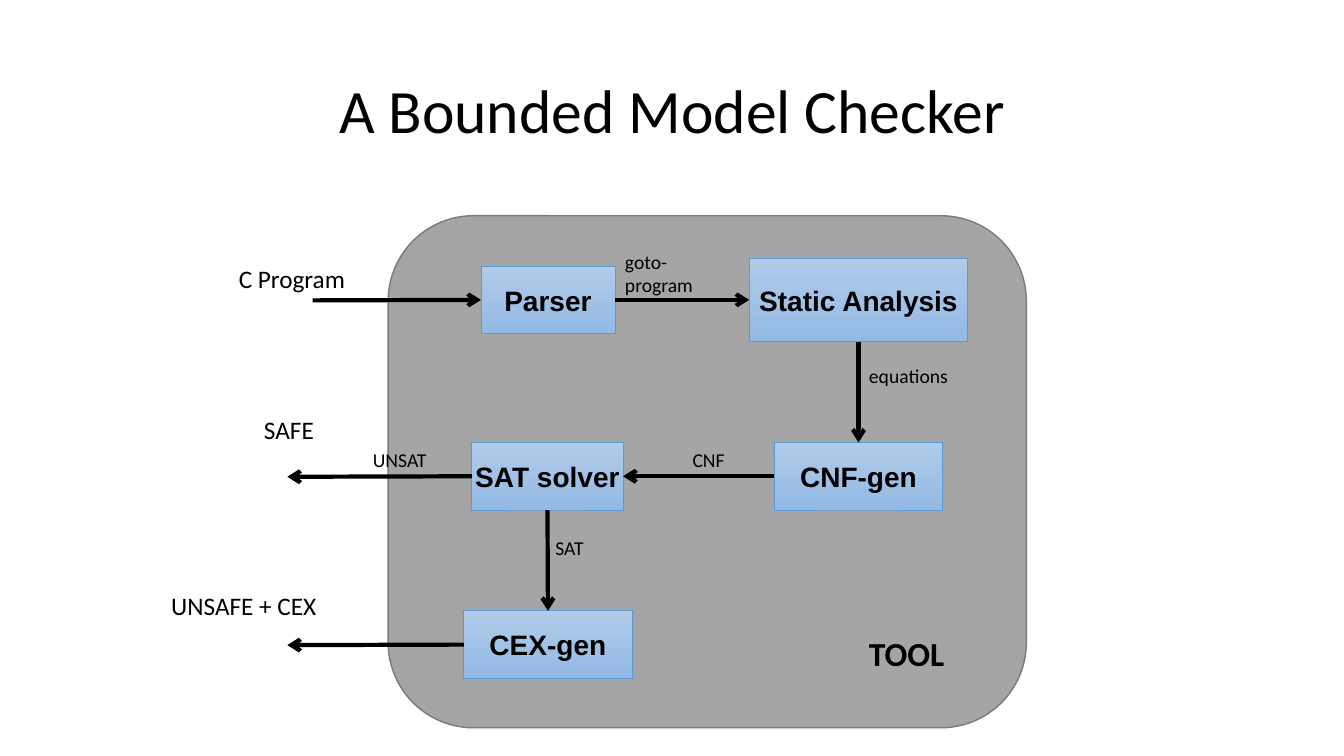
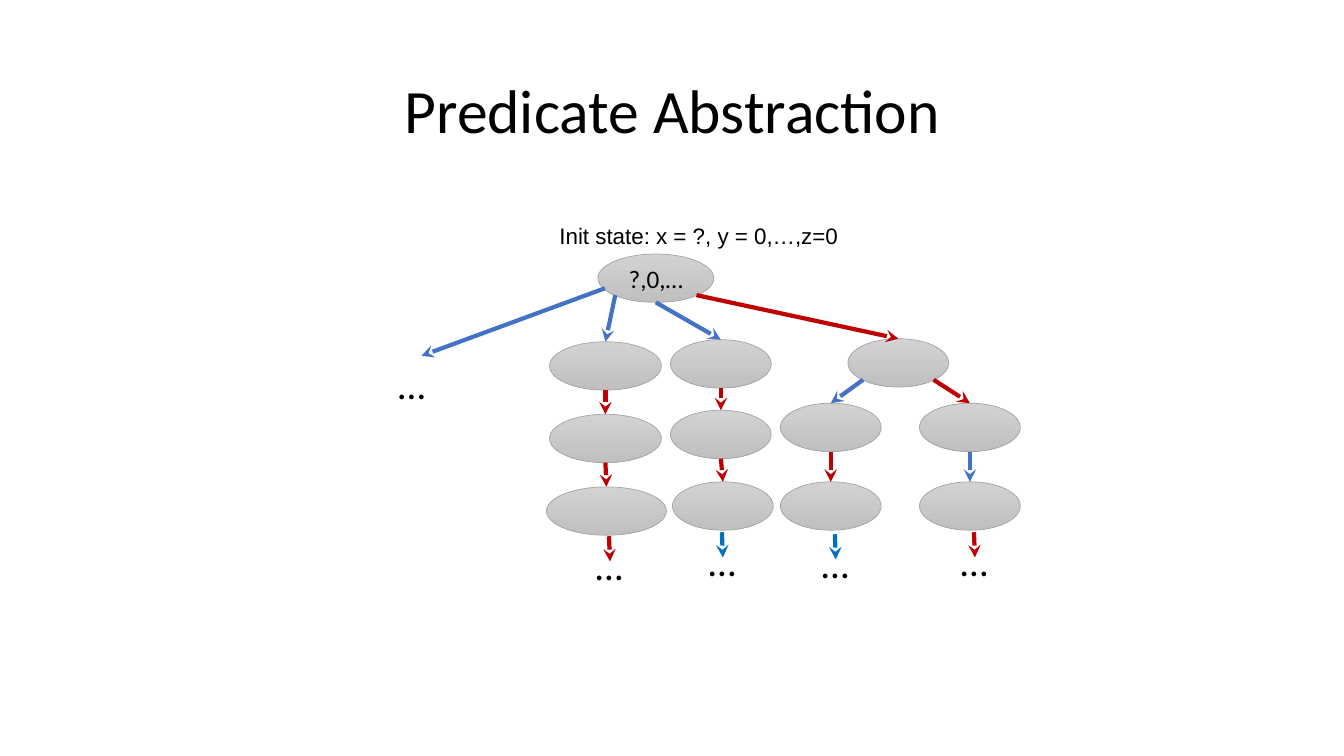
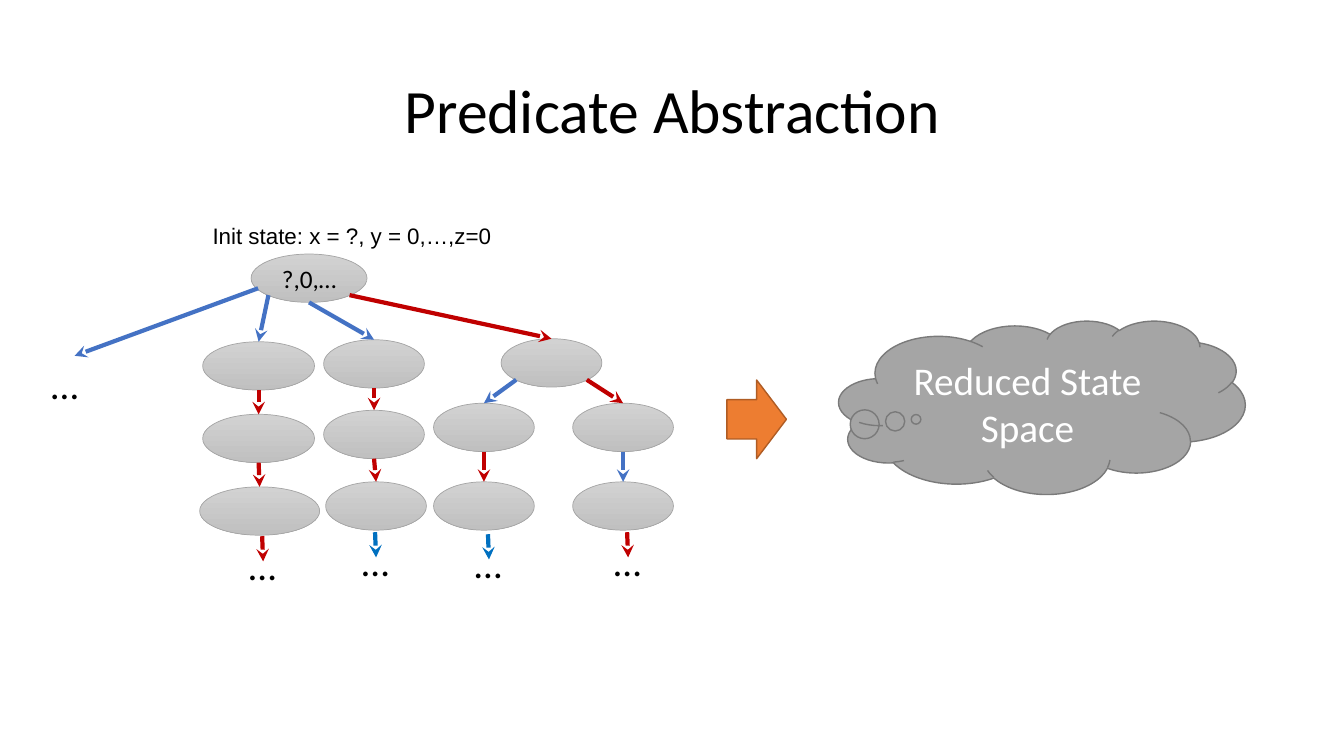
from dataclasses import dataclass

from lxml.etree import SubElement
from pptx import Presentation
from pptx.dml.color import RGBColor
from pptx.enum.shapes import MSO_CONNECTOR, MSO_SHAPE
from pptx.enum.text import MSO_ANCHOR, MSO_AUTO_SIZE, PP_ALIGN
from pptx.oxml.ns import qn
from pptx.util import Inches, Pt


@dataclass(frozen=True)
class Theme:
    """Colours, fonts and type sizes of the presentation."""

    black: str = "000000"
    white: str = "FFFFFF"
    gray: str = "A5A5A5"
    gray_edge: str = "7A7A7A"
    orange: str = "ED7D31"
    orange_edge: str = "AF5C24"
    box_edge: str = "5B9BD5"
    box_fill: tuple = ("B1CBE9", "93B9E4")
    state_fill: tuple = ("D2D2D2", "C0C0C0")
    blue: str = "4472C4"
    bright_blue: str = "0070C0"
    red: str = "C00000"
    body_font: str = "Calibri"
    diagram_font: str = "Arial"
    title_size: int = 44
    large_size: int = 28
    name_size: int = 24
    box_size: int = 20
    label_size: int = 18
    caption_size: int = 16
    small_size: int = 14
    thin: float = 0.5
    outline: float = 1
    arrow: float = 3


THEME = Theme()
TOP, LEFT, BOTTOM, RIGHT = range(4)
SITES = {"top": (0.5, 0), "bottom": (0.5, 1), "lower left": (0.15, 0.85), "lower right": (0.85, 0.85)}
STATE_HEIGHT = 0.48
STATES = {
    "root": (5.93, 2.52, 1.15),
    "a1": (5.45, 3.39, 1.11),
    "a2": (5.45, 4.11, 1.11),
    "a3": (5.42, 4.83, 1.19),
    "b1": (6.65, 3.37, 1),
    "b2": (6.65, 4.07, 1),
    "b3": (6.67, 4.78, 1),
    "fork": (8.41, 3.36, 1),
    "c1": (7.74, 4, 1),
    "c2": (7.74, 4.78, 1),
    "d1": (9.12, 4, 1),
    "d2": (9.12, 4.78, 1),
}
TRANSITIONS = (
    ("root", "lower left", "a1", THEME.blue),
    ("root", "bottom", "b1", THEME.blue),
    ("root", "lower right", "fork", THEME.red),
    ("fork", "lower left", "c1", THEME.blue),
    ("fork", "lower right", "d1", THEME.red),
    ("a1", "bottom", "a2", THEME.red),
    ("a2", "bottom", "a3", THEME.red),
    ("b1", "bottom", "b2", THEME.red),
    ("b2", "bottom", "b3", THEME.red),
    ("c1", "bottom", "c2", THEME.red),
    ("d1", "bottom", "d2", THEME.blue),
)
CONTINUATIONS = (
    (6.04, 5.32, THEME.red),
    (7.16, 5.28, THEME.bright_blue),
    (8.28, 5.3, THEME.bright_blue),
    (9.66, 5.28, THEME.red),
)


def add_run(paragraph, text, size, color=THEME.black, font=THEME.body_font, bold=False):
    """Add one formatted run to a paragraph."""
    run = paragraph.add_run()
    run.text = text
    run.font.name = font
    run.font.size = Pt(size)
    run.font.bold = bold
    run.font.color.rgb = RGBColor.from_string(color)


def add_titled_slide(presentation, title):
    """Add a slide with the shared title style."""
    slide = presentation.slides.add_slide(presentation.slide_layouts[5])
    shape = slide.shapes.title
    shape.left, shape.top, shape.width, shape.height = map(Inches, (0.92, 0.4, 11.5, 1.45))
    shape.text_frame.vertical_anchor = MSO_ANCHOR.MIDDLE
    paragraph = shape.text_frame.paragraphs[0]
    paragraph.alignment = PP_ALIGN.CENTER
    paragraph.line_spacing = 0.9
    add_run(paragraph, title, THEME.title_size)
    return slide


def add_shape(shapes, kind, bounds, fill, edge, edge_width):
    """Add a preset shape; a pair of colours gives a vertical gradient."""
    shape = shapes.add_shape(kind, *map(Inches, bounds))
    shape.shadow.inherit = False
    if isinstance(fill, tuple):
        shape.fill.gradient()
        shape.fill.gradient_angle = 270
        for stop, color in zip(shape.fill.gradient_stops, fill):
            stop.color.rgb = RGBColor.from_string(color)
    else:
        shape.fill.solid()
        shape.fill.fore_color.rgb = RGBColor.from_string(fill)
    shape.line.color.rgb = RGBColor.from_string(edge)
    shape.line.width = Pt(edge_width)
    return shape


def write_centred(shape, text, size, **style):
    """Write centred text inside a shape."""
    shape.text_frame.vertical_anchor = MSO_ANCHOR.MIDDLE
    paragraph = shape.text_frame.paragraphs[0]
    paragraph.alignment = PP_ALIGN.CENTER
    add_run(paragraph, text, size, **style)


def add_box(shapes, text, bounds):
    """Add a processing step."""
    box = add_shape(shapes, MSO_SHAPE.RECTANGLE, bounds, THEME.box_fill, THEME.box_edge, THEME.thin)
    frame = box.text_frame
    frame.margin_left = frame.margin_right = frame.margin_top = frame.margin_bottom = 0
    frame.word_wrap = False
    write_centred(box, text, THEME.box_size, font=THEME.diagram_font, bold=True)
    return box


def add_label(shapes, text, bounds, size, wrap=False, **style):
    """Add a text box that grows with its text."""
    frame = shapes.add_textbox(*map(Inches, bounds)).text_frame
    frame.word_wrap = wrap
    frame.auto_size = MSO_AUTO_SIZE.SHAPE_TO_FIT_TEXT
    add_run(frame.paragraphs[0], text, size, **style)


def add_arrow(shapes, start, end, color=THEME.black, head="arrow"):
    """Add a straight arrow between two points."""
    arrow = shapes.add_connector(MSO_CONNECTOR.STRAIGHT, *map(Inches, (*start, *end)))
    arrow.line.color.rgb = RGBColor.from_string(color)
    arrow.line.width = Pt(THEME.arrow)
    properties = arrow.element.spPr
    SubElement(properties.find(qn("a:ln")), qn("a:tailEnd"), type=head)
    SubElement(properties, qn("a:effectLst"))
    return arrow


def find_site(state, site):
    """Return a point on the outline of a state."""
    left, top, width = STATES[state]
    across, down = SITES[site]
    return left + across * width, top + down * STATE_HEIGHT


def add_state_tree(slide, shift=0):
    """Add the grouped state tree, moved to the left by shift inches."""
    group = slide.shapes.add_group_shape()
    shapes = group.shapes
    for name, (left, top, width) in STATES.items():
        bounds = (left, top, width, STATE_HEIGHT)
        state = add_shape(shapes, MSO_SHAPE.OVAL, bounds, THEME.state_fill, THEME.gray, THEME.thin)
        if name == "root":
            write_centred(state, "?,0,…", THEME.label_size)
    add_label(shapes, "Init state: x = ?, y = 0,…,z=0", (5.45, 2.15, 3.01, 0.37),
              THEME.caption_size, font=THEME.diagram_font)
    for source, site, target, color in TRANSITIONS:
        add_arrow(shapes, find_site(source, site), find_site(target, "top"), color, "stealth")
    add_arrow(shapes, (6, 2.86), (4.18, 3.53), THEME.blue, "stealth")
    for x, y, color in CONTINUATIONS:
        add_arrow(shapes, (x, y), (x + 0.01, y + 0.25), color, "stealth")
    for x, y in ((4.08, 3.53), *(item[:2] for item in CONTINUATIONS)):
        add_label(shapes, "…", (x - 0.23, y, 0.47, 0.57), THEME.large_size)
    group.left -= Inches(shift)


def add_checker_slide(presentation):
    """Add the pipeline of the bounded model checker."""
    shapes = add_titled_slide(presentation, "A Bounded Model Checker").shapes
    add_shape(shapes, MSO_SHAPE.ROUNDED_RECTANGLE, (3.85, 2.14, 6.33, 5.08),
              THEME.gray, THEME.gray_edge, THEME.outline)
    parser = add_box(shapes, "Parser", (4.77, 2.64, 1.33, 0.67))
    analysis = add_box(shapes, "Static Analysis", (7.43, 2.56, 2.17, 0.83))
    formula = add_box(shapes, "CNF-gen", (7.68, 4.39, 1.67, 0.67))
    solver = add_box(shapes, "SAT solver", (4.68, 4.39, 1.5, 0.67))
    counterexample = add_box(shapes, "CEX-gen", (4.6, 6.06, 1.67, 0.67))
    for source, source_site, target, target_site in (
        (parser, RIGHT, analysis, LEFT),
        (analysis, BOTTOM, formula, TOP),
        (formula, LEFT, solver, RIGHT),
        (solver, BOTTOM, counterexample, TOP),
    ):
        arrow = add_arrow(shapes, (0, 0), (1, 1))
        arrow.begin_connect(source, source_site)
        arrow.end_connect(target, target_site)
    add_arrow(shapes, (3.1, 2.98), (4.77, 2.98)).end_connect(parser, LEFT)
    for source, y in ((solver, 4.73), (counterexample, 6.4)):
        add_arrow(shapes, (4.6, y), (2.85, y)).begin_connect(source, LEFT)
    add_label(shapes, "TOOL", (8.52, 6.23, 1.21, 0.5), THEME.name_size, bold=True)
    for text, left, top, width in (
        ("C Program", 2.27, 2.56, 1.42),
        ("SAFE", 2.52, 4.06, 0.86),
        ("UNSAFE + CEX", 1.6, 5.81, 2.03),
    ):
        add_label(shapes, text, (left, top, width, 0.4), THEME.label_size)
    for text, left, top, height in (
        ("goto-program", 6.1, 2.43, 0.57),
        ("equations", 8.52, 3.56, 0.34),
        ("CNF", 6.77, 4.39, 0.34),
        ("UNSAT", 3.6, 4.39, 0.34),
        ("SAT", 5.41, 5.27, 0.34),
    ):
        add_label(shapes, text, (left, top, 1.25, height), THEME.small_size, wrap=True)


def add_reduction_slide(presentation):
    """Add the state tree with its reduced state space."""
    slide = add_titled_slide(presentation, "Predicate Abstraction")
    add_state_tree(slide, 3.44)
    add_shape(slide.shapes, MSO_SHAPE.RIGHT_ARROW, (7.21, 3.77, 0.59, 0.78),
              THEME.orange, THEME.orange_edge, THEME.outline)
    cloud = add_shape(slide.shapes, MSO_SHAPE.CLOUD_CALLOUT, (8.32, 3.18, 4.03, 1.72),
                      THEME.gray, THEME.gray_edge, THEME.outline)
    cloud.adjustments[0] = -0.31
    cloud.adjustments[1] = 0.07
    write_centred(cloud, "Reduced State Space", THEME.large_size, color=THEME.white)


def main():
    """Build and save the presentation."""
    presentation = Presentation()
    presentation.slide_width = Inches(13.33)
    presentation.slide_height = Inches(7.5)
    add_checker_slide(presentation)
    add_state_tree(add_titled_slide(presentation, "Predicate Abstraction"))
    add_reduction_slide(presentation)
    presentation.save("out.pptx")


if __name__ == "__main__":
    main()
